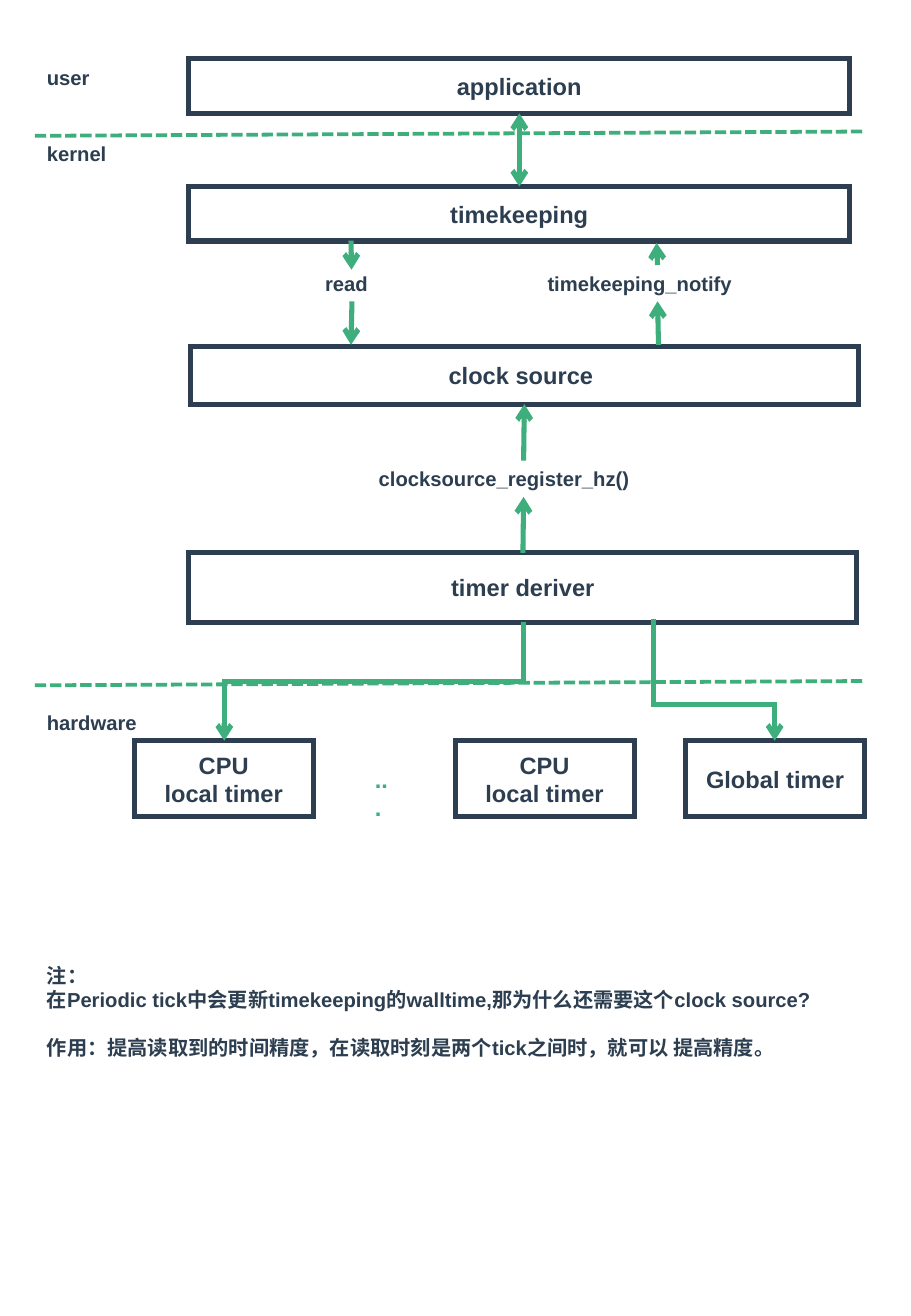
from dataclasses import dataclass

import pptx
import pptx.dml.color
import pptx.enum.dml
import pptx.enum.shapes
import pptx.enum.text
import pptx.oxml
import pptx.oxml.ns
import pptx.util
from pptx.util import Cm


@dataclass(frozen=True)
class Theme:
    ink: str = "2C3E50"
    green: str = "3EAF7C"
    font: str = "Arial"
    box_size: int = 14
    label_size: int = 12
    stroke: float = 3
    dash: float = 2.25


THEME = Theme()
PAGE_W = 19.05
PAGE_RATIO = (13, 9)
MARGIN = 0.73
LABEL_H = 0.76

LAYERS = {
    "application": (3.95, 1.23, 13.82, 1.14),
    "timekeeping": (3.95, 3.9, 13.82, 1.14),
    "clock source ": (3.98, 7.24, 13.97, 1.21),
    "timer deriver": (3.95, 11.56, 13.97, 1.45),
}
TIMERS = [
    (2.81, ["CPU", "local timer"]),
    (9.52, ["CPU", "local timer"]),
    (14.34, ["Global timer"]),
]
TIMER_TOP, TIMER_W, TIMER_H = 15.49, 3.74, 1.59

BOUNDARIES = [2.84, 14.33]
BOUNDARY_RIGHT, BOUNDARY_RISE = 18.06, 0.09

LABELS = [
    ("user", MARGIN, 1.24, 1.55),
    ("kernel", MARGIN, 2.84, 2.01),
    ("hardware", MARGIN, 14.73, 2.77),
    ("read", 6.55, 5.54, 1.6),
    ("timekeeping_notify", 11.2, 5.54, 5.08),
    ("clocksource_register_hz()", 7.67, 9.62, 6.58),
]
ELLIPSIS = ("...", 7.59, 15.87, 0.89)
NOTES = [
    ("注：", 0),
    ("在Periodic tick中会更新timekeeping的walltime,那为什么还需要这个clock source?", 0),
    ("作用：提高读取到的时间精度，在读取时刻是两个tick之间时，就可以 提高精度。", 14),
]
NOTES_TOP, NOTES_W, NOTES_H = 20.01, 18.52, 2.31

ARROWS = [
    ((7.34, 5.03), (7.35, 5.64)),
    ((7.36, 6.3), (7.34, 7.21)),
    ((13.77, 7.21), (13.75, 6.3)),
    ((13.75, 5.54), (13.73, 5.08)),
]
REGISTER_X, REGISTER_FROM, REGISTER_TO = 10.95, 9.63, 10.39
ELBOWS = [
    ((10.95, 13.0), (4.69, TIMER_TOP), 0.5),
    ((13.66, 12.94), (16.2, TIMER_TOP), 0.7),
]


def rgb(value):
    return pptx.dml.color.RGBColor.from_string(value)


def element(tag, attrs=""):
    return pptx.oxml.parse_xml(
        f'<a:{tag} {pptx.oxml.ns.nsdecls("a")} {attrs}/>')


def style_line(line, color, width):
    line.color.rgb = rgb(color)
    line.width = pptx.util.Pt(width)
    ln = line._get_or_add_ln()
    ln.append(element("miter", 'lim="800000"'))
    return ln


def write(p, text, size, color):
    r = p.add_run()
    r.text = text
    r.font.name = THEME.font
    r.font.size = pptx.util.Pt(size)
    r.font.bold = True
    r.font.color.rgb = rgb(color)


def add_box(s, lines, at):
    sp = s.shapes.add_shape(
        pptx.enum.shapes.MSO_SHAPE.FLOWCHART_PROCESS, *map(Cm, at))
    sp.shadow.inherit = False
    sp.fill.background()
    style_line(sp.line, THEME.ink, THEME.stroke)
    tf = sp.text_frame
    tf.vertical_anchor = pptx.enum.text.MSO_ANCHOR.MIDDLE
    for i, line in enumerate(lines):
        p = tf.add_paragraph() if i else tf.paragraphs[0]
        p.alignment = pptx.enum.text.PP_ALIGN.CENTER
        write(p, line, THEME.box_size, THEME.ink)
    return sp


def add_text(s, lines, at, size=THEME.label_size, color=THEME.ink):
    tf = s.shapes.add_textbox(*map(Cm, at)).text_frame
    tf.word_wrap = True
    tf.auto_size = pptx.enum.text.MSO_AUTO_SIZE.SHAPE_TO_FIT_TEXT
    for i, (line, gap) in enumerate(lines):
        p = tf.add_paragraph() if i else tf.paragraphs[0]
        if gap:
            p.space_before = pptx.util.Pt(gap)
        write(p, line, size, color)


def add_line(s, start, end, ends=("tailEnd",), width=THEME.stroke, kind="STRAIGHT"):
    cxn = s.shapes.add_connector(
        pptx.enum.shapes.MSO_CONNECTOR[kind], *map(Cm, start + end))
    ln = style_line(cxn.line, THEME.green, width)
    for tag in ends:
        ln.append(element(tag, 'type="arrow"'))
    cxn._element.spPr.append(element("effectLst"))
    return cxn


def add_elbow(s, start, end, bend):
    cxn = add_line(s, start, end, kind="ELBOW")
    (x1, y1), (x2, y2) = start, end
    run, drop = abs(x2 - x1), y2 - y1
    cxn.left, cxn.top = Cm((x1 + x2 - drop) / 2), Cm((y1 + y2 - run) / 2)
    cxn.width, cxn.height = Cm(drop), Cm(run)
    xfrm = cxn._element.spPr.find(pptx.oxml.ns.qn("a:xfrm"))
    xfrm.set("rot", "5400000")
    xfrm.set("flipH", "0")
    xfrm.set("flipV", "1" if x2 > x1 else "0")
    geom = cxn._element.spPr.find(pptx.oxml.ns.qn("a:prstGeom"))
    for old in list(geom):
        geom.remove(old)
    guides = element("avLst")
    guides.append(element("gd", f'name="adj1" fmla="val {round(bend * 100000)}"'))
    geom.append(guides)


def main():
    prs = pptx.Presentation()
    prs.slide_width = Cm(PAGE_W)
    prs.slide_height = prs.slide_width * PAGE_RATIO[0] // PAGE_RATIO[1]
    s = prs.slides.add_slide(prs.slide_layouts[6])

    for y in BOUNDARIES:
        cxn = add_line(s, (MARGIN, y), (BOUNDARY_RIGHT, y - BOUNDARY_RISE),
                       (), THEME.dash)
        cxn.line.dash_style = pptx.enum.dml.MSO_LINE.SQUARE_DOT

    layers = {name: add_box(s, [name], at) for name, at in LAYERS.items()}
    for x, lines in TIMERS:
        add_box(s, lines, (x, TIMER_TOP, TIMER_W, TIMER_H))

    for text, x, y, w in LABELS:
        add_text(s, [(text, 0)], (x, y, w, LABEL_H))
    text, x, y, w = ELLIPSIS
    add_text(s, [(text, 0)], (x, y, w, LABEL_H), THEME.box_size, THEME.green)

    for start, end, bend in ELBOWS:
        add_elbow(s, start, end, bend)
    for start, end in ARROWS:
        add_line(s, start, end)

    cxn = add_line(s, (10.86, 2.37), (10.86, 3.9), ("headEnd", "tailEnd"))
    cxn.begin_connect(layers["application"], 2)
    cxn.end_connect(layers["timekeeping"], 0)
    cxn = add_line(s, (REGISTER_X, 11.56), (REGISTER_X, REGISTER_TO))
    cxn.begin_connect(layers["timer deriver"], 0)
    cxn = add_line(s, (REGISTER_X, REGISTER_FROM), (REGISTER_X, 8.45))
    cxn.end_connect(layers["clock source "], 2)

    add_text(s, NOTES, (MARGIN, NOTES_TOP, NOTES_W, NOTES_H))
    prs.save("out.pptx")


if __name__ == "__main__":
    main()
